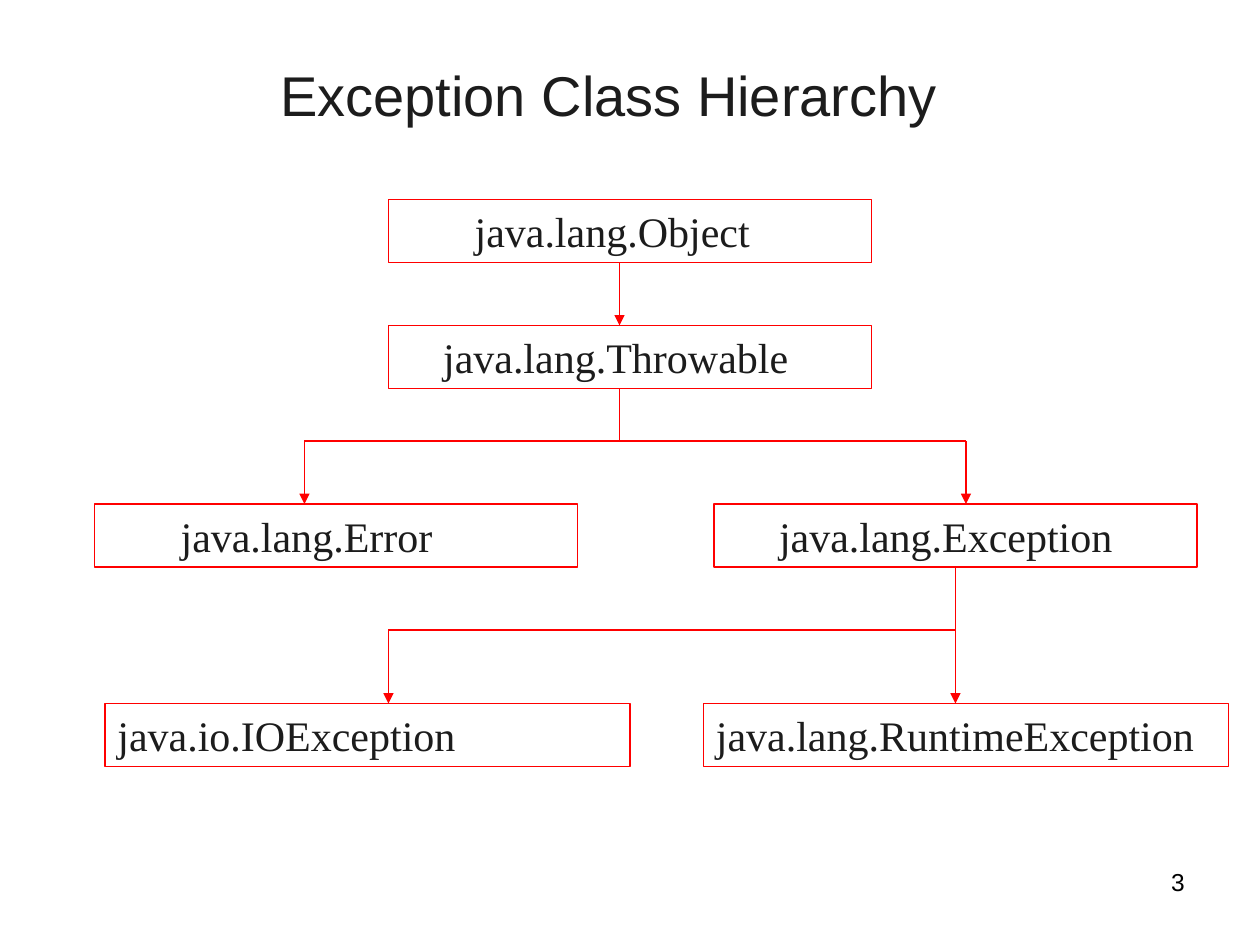
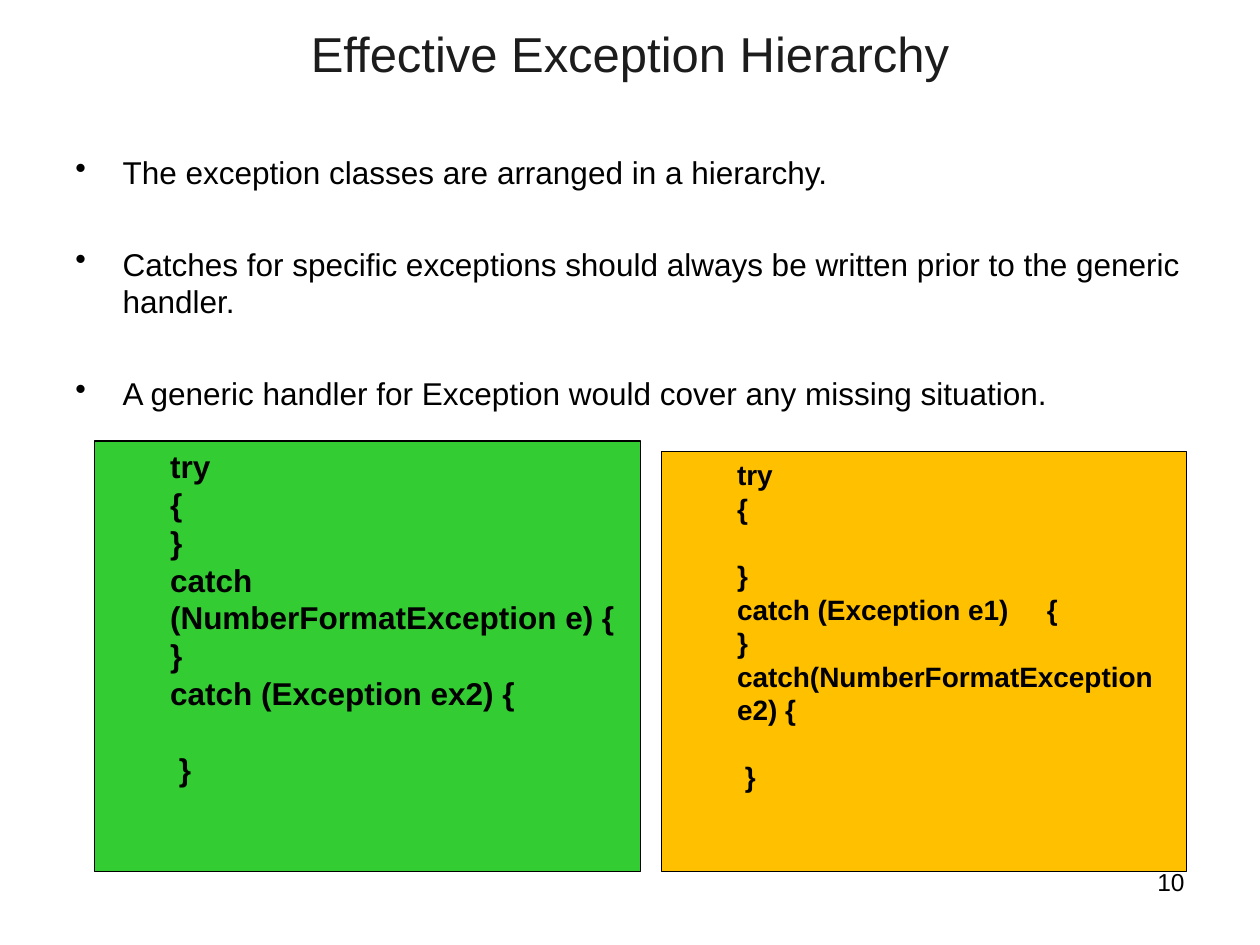
import itertools

import pptx
import pptx.dml.color
import pptx.enum.shapes
import pptx.enum.text
import pptx.oxml.ns
import pptx.util
from lxml import etree

Pt = pptx.util.Pt
RGBColor = pptx.dml.color.RGBColor
ALIGN = pptx.enum.text.PP_ALIGN
ANCHOR = pptx.enum.text.MSO_ANCHOR
RECTANGLE = pptx.enum.shapes.MSO_SHAPE.RECTANGLE
STRAIGHT = pptx.enum.shapes.MSO_CONNECTOR.STRAIGHT
qn = pptx.oxml.ns.qn

BLACK = RGBColor(0x00, 0x00, 0x00)
CHARCOAL = RGBColor(0x1C, 0x1C, 0x1C)
RED = RGBColor(0xFF, 0x00, 0x00)
GREEN = RGBColor(0x33, 0xCC, 0x33)
AMBER = RGBColor(0xFF, 0xC0, 0x00)

TITLE_FONT = {"name": "Arial", "color": CHARCOAL}
NUMBER_FONT = {"name": "Arial", "color": BLACK, "size": Pt(14)}
BULLET_FONT = {"name": "Arial", "color": BLACK, "size": Pt(18)}
CODE_FONT = {"name": "Arial", "color": BLACK, "bold": True}
CLASS_FONT = {"name": "Times New Roman", "color": CHARCOAL, "size": Pt(24)}

LINE_WIDTH = Pt(0.75)
LINE_HEIGHT = 1.2
SIDE_INSET = 7.2
BULLET_INDENT = Pt(27)
BULLET_GAP = Pt(30.6)
CODE_INDENT = 36


def set_values(target, values):
    for name, value in values.items():
        if name == "color":
            target.color.rgb = value
        else:
            setattr(target, name, value)


def write_lines(shape, lines, font, frame=None, alignment=ALIGN.LEFT):
    """Write one paragraph per line; an empty line becomes space before the next."""
    text_frame = shape.text_frame
    set_values(text_frame, {"word_wrap": True, "vertical_anchor": ANCHOR.TOP, **(frame or {})})
    line_height = font["size"].pt * LINE_HEIGHT
    paragraph, gap = None, 0
    for line in lines:
        if not line:
            gap += line_height
            continue
        paragraph = text_frame.paragraphs[0] if paragraph is None else text_frame.add_paragraph()
        paragraph.text = line
        set_values(paragraph, {"alignment": alignment, "line_spacing": Pt(line_height),
                               "space_before": Pt(gap)})
        for run in paragraph.runs:
            set_values(run.font, font)
        gap = 0


def add_text(slide, bounds, lines, font, **options):
    text_box = slide.shapes.add_textbox(*map(Pt, bounds))
    write_lines(text_box, lines, font, **options)
    return text_box


def add_title(slide, bounds, text, size):
    add_text(slide, bounds, [text], {**TITLE_FONT, "size": Pt(size)},
             frame={"vertical_anchor": ANCHOR.MIDDLE}, alignment=ALIGN.CENTER)


def add_slide_number(slide, number):
    add_text(slide, (516, 492, 168, 37.4), [str(number)], NUMBER_FONT, alignment=ALIGN.RIGHT)


def add_rectangle(slide, bounds, line_color, fill_color=None):
    rectangle = slide.shapes.add_shape(RECTANGLE, *map(Pt, bounds))
    rectangle.shadow.inherit = False
    set_values(rectangle.line, {"color": line_color, "width": LINE_WIDTH})
    if fill_color is None:
        rectangle.fill.background()
    else:
        rectangle.fill.solid()
        rectangle.fill.fore_color.rgb = fill_color
    return rectangle


def add_class_box(slide, left, top, width, name, indent=0):
    box = add_rectangle(slide, (left, top, width, 36), RED)
    write_lines(box, [name], CLASS_FONT, frame={"margin_left": Pt(SIDE_INSET + indent)})
    return box


def add_route(slide, *points, arrow=True):
    """Join the points with straight red lines; the last may end in an arrowhead."""
    connectors = []
    for start, end in itertools.pairwise(points):
        connector = slide.shapes.add_connector(STRAIGHT, *map(Pt, start + end))
        set_values(connector.line, {"color": RED, "width": LINE_WIDTH})
        etree.SubElement(connector._element.spPr, qn("a:effectLst"))
        connectors.append(connector)
    if arrow:
        outline = connectors[-1]._element.spPr.find(qn("a:ln"))
        etree.SubElement(outline, qn("a:tailEnd"), type="triangle")
    return connectors


def add_bullets(slide, bounds, lines):
    text_box = add_text(slide, bounds, lines, BULLET_FONT)
    for index, paragraph in enumerate(text_box.text_frame.paragraphs):
        if index:
            paragraph.space_before = BULLET_GAP
        properties = paragraph._p.get_or_add_pPr()
        properties.set("marL", str(int(BULLET_INDENT)))
        properties.set("indent", str(-int(BULLET_INDENT)))
        etree.SubElement(properties, qn("a:buChar"), char="•")


def add_code(slide, bounds, fill_color, lines, size, alignment=ALIGN.LEFT):
    box = add_rectangle(slide, bounds, BLACK, fill_color)
    write_lines(box, lines, {**CODE_FONT, "size": Pt(size)},
                frame={"margin_left": Pt(SIDE_INSET + CODE_INDENT)}, alignment=alignment)
    return box


def add_tab_stop(paragraph, position):
    tabs = etree.SubElement(paragraph._p.get_or_add_pPr(), qn("a:tabLst"))
    etree.SubElement(tabs, qn("a:tab"), pos=str(int(Pt(position))), algn="l")


def build_class_hierarchy(slide):
    add_slide_number(slide, 3)
    add_title(slide, (42, 18, 612, 72), "Exception Class Hierarchy", 32)

    add_class_box(slide, 222, 114, 276, "java.lang.Object", 42)
    add_class_box(slide, 222, 186, 276, "java.lang.Throwable", 24)
    add_class_box(slide, 54, 288, 276, "java.lang.Error", 42)
    exception = add_class_box(slide, 408, 288, 276, "java.lang.Exception", 30)
    add_class_box(slide, 60, 402, 300, "java.io.IOException")
    add_class_box(slide, 402, 402, 300, "java.lang.RuntimeException")

    trunk, branch = 354, 546
    add_route(slide, (trunk, 150), (trunk, 186))
    add_route(slide, (trunk, 222), (trunk, 252), arrow=False)
    for child in (174, 552):
        add_route(slide, (trunk, 252), (child, 252), (child, 288))
    to_runtime = add_route(slide, (branch, 324), (branch, 402))[0]
    to_runtime.begin_connect(exception, 2)
    add_route(slide, (branch, 360), (222, 360), (222, 402))


def build_effective_hierarchy(slide):
    add_slide_number(slide, 10)
    add_title(slide, (36, 21.6, 648, 50.4), "Effective Exception Hierarchy\v", 28)
    add_bullets(slide, (36, 84, 648, 398), [
        "The exception classes are arranged in a hierarchy.",
        "Catches for specific exceptions should always be written prior to the generic handler.",
        "A generic handler for Exception would cover any missing situation.",
    ])
    add_code(slide, (54, 252, 312, 246), GREEN, [
        "try", "{", "}",
        "catch (NumberFormatException e) {", "}",
        "catch (Exception ex2) {", "", " }",
    ], 18)
    generic_first = add_code(slide, (378, 258, 300, 240), AMBER, [
        "try", "{", "", "}",
        "catch (Exception e1)\t{", "}",
        "catch(NumberFormatException e2) {", "", " }",
    ], 16, ALIGN.JUSTIFY)
    add_tab_stop(generic_first.text_frame.paragraphs[3], 177)


def main():
    presentation = pptx.Presentation()
    set_values(presentation, {"slide_width": Pt(720), "slide_height": Pt(540)})
    blank = presentation.slide_layouts[6]
    for build in (build_class_hierarchy, build_effective_hierarchy):
        build(presentation.slides.add_slide(blank))
    presentation.save("out.pptx")


if __name__ == "__main__":
    main()
